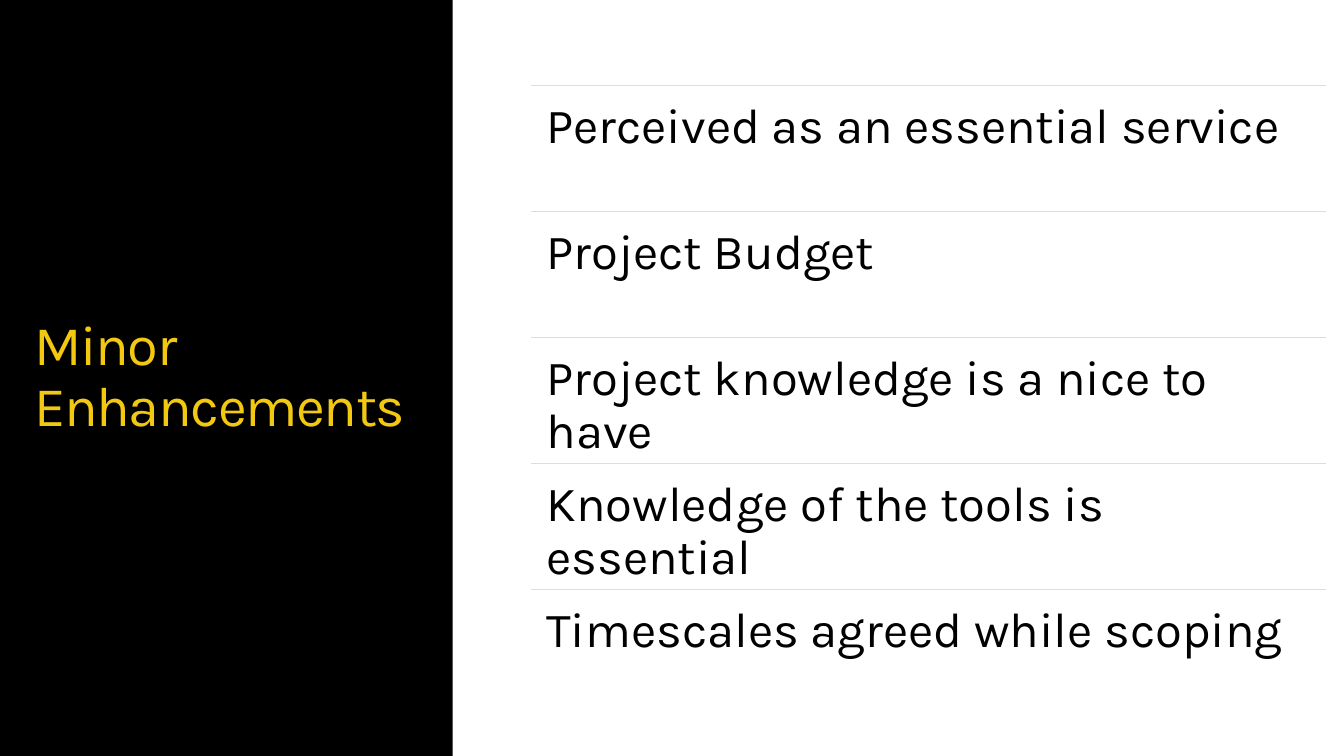
from lxml import etree
from pptx import Presentation
from pptx.dml.color import RGBColor
from pptx.enum import shapes, text
from pptx.oxml import ns
from pptx.util import Inches, Pt

TITLE = "Minor Enhancements"
POINTS = [
    "Perceived as an essential service",
    "Project Budget",
    "Project knowledge is a nice to have",
    "Knowledge of the tools is essential",
    "Timescales agreed while scoping",
]
FONT = "Karla"
BLACK, YELLOW, GREY = "000000", "F2C811", "DDDDDD"
LIST_LEFT, LIST_TOP, LIST_WIDTH, ROW_HEIGHT = 5.27, 0.85, 7.88, 1.25


def color(value):
    return RGBColor.from_string(value)


def add_text(page, place, words, size, hue, insets, anchor):
    box = page.shapes.add_textbox(*map(Inches, place))
    frame = box.text_frame
    frame.word_wrap = True
    frame.vertical_anchor = anchor
    frame.margin_left = frame.margin_right = Inches(insets[0])
    frame.margin_top = frame.margin_bottom = Inches(insets[1])
    frame.text = words
    para = frame.paragraphs[0]
    para.line_spacing = 0.9
    span = para.runs[0]
    span.font.name = FONT
    span.font.size = Pt(size)
    span.font.color.rgb = color(hue)
    return span


def add_rule(page, top):
    rule = page.shapes.add_connector(
        shapes.MSO_CONNECTOR.STRAIGHT, Inches(LIST_LEFT), Inches(top),
        Inches(LIST_LEFT + LIST_WIDTH), Inches(top))
    rule.line.color.rgb = color(GREY)
    rule.line.width = Pt(0.85)
    etree.SubElement(rule._element.spPr, ns.qn("a:effectLst"))


def main():
    deck = Presentation()
    deck.slide_width, deck.slide_height = Inches(13.33), Inches(7.5)
    page = deck.slides.add_slide(deck.slide_layouts[6])

    # Title panel
    panel = page.shapes.add_shape(
        shapes.MSO_SHAPE.RECTANGLE, 0, 0, Inches(4.49), deck.slide_height)
    panel.shadow.inherit = False
    panel.fill.solid()
    panel.fill.fore_color.rgb = color(BLACK)
    panel.line.fill.background()
    title = add_text(page, (0.18, 2.46, 4.1, 2.58), TITLE, 40, YELLOW,
                     (0.16, 0.1), text.MSO_ANCHOR.MIDDLE)
    title._r.get_or_add_rPr().set("spc", "-100")

    # Ruled list
    for row, point in enumerate(POINTS):
        top = LIST_TOP + row * ROW_HEIGHT
        add_rule(page, top)
        add_text(page, (LIST_LEFT, top, LIST_WIDTH, ROW_HEIGHT), point, 35,
                 BLACK, (0.15, 0.15), text.MSO_ANCHOR.TOP)

    deck.save("out.pptx")


if __name__ == "__main__":
    main()
